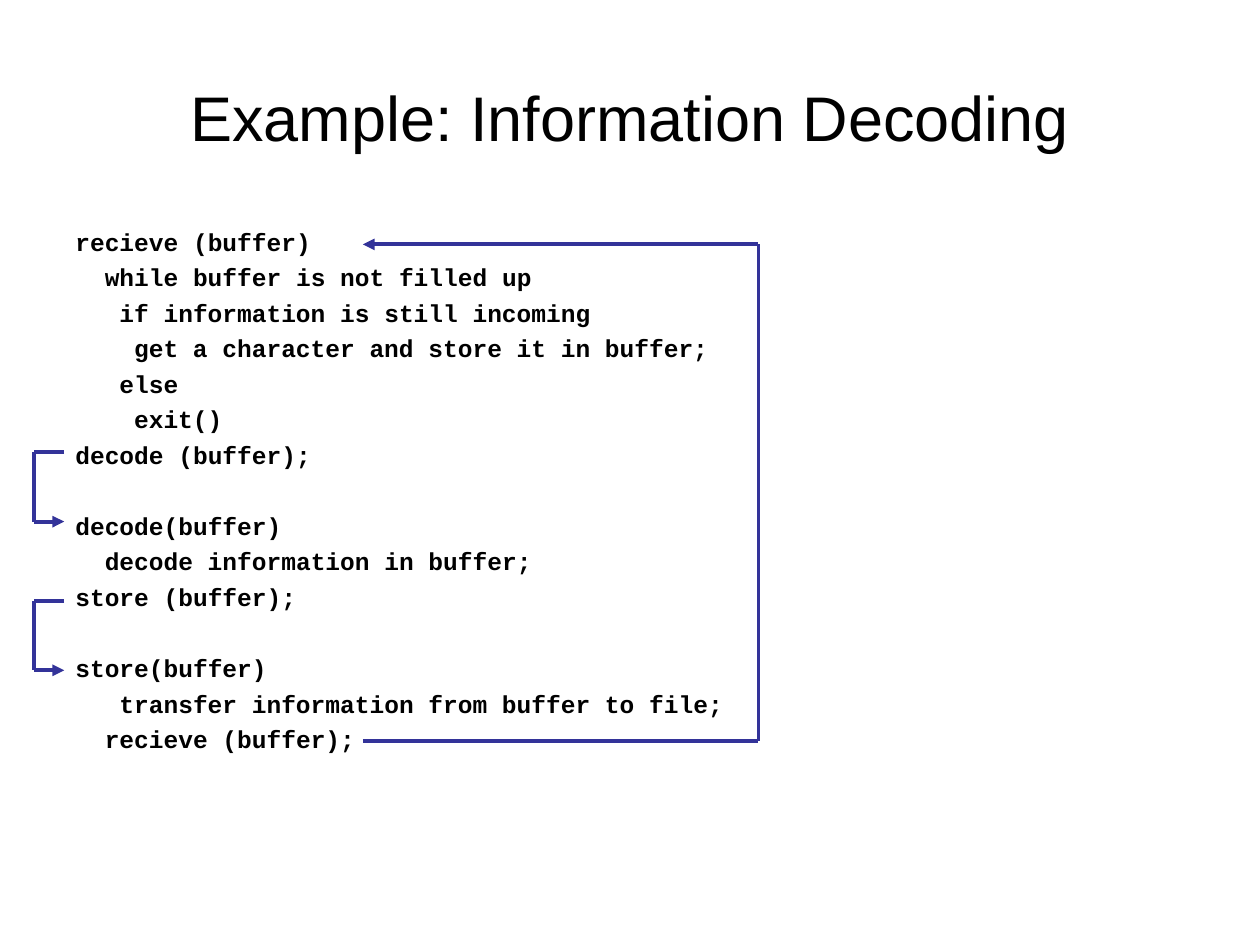
import dataclasses

import pptx
import pptx.enum.shapes
import pptx.enum.text
import pptx.dml.color
import pptx.oxml
import pptx.oxml.ns
import pptx.util
from pptx.util import Inches, Pt

COLORS = {"text": "000000", "arrow": "333399", "page": "FFFFFF"}
CHARACTER_WIDTH = 8.4  # points, one Courier New character at 14 pt
LINE_GAP = 3.5
SECTION_GAP = 23.8


@dataclasses.dataclass
class CodeLine:
    """A line of pseudocode with its indent in characters."""
    text: str
    indent: int = 0
    starts_section: bool = False


@dataclasses.dataclass
class CallArrow:
    """A bracket-shaped arrow from a call to the routine it enters."""
    side: float
    text_edge: float
    start: float
    end: float


CODE = [
    CodeLine("recieve (buffer)"),
    CodeLine("while buffer is not filled up", 2),
    CodeLine("if information is still incoming", 3),
    CodeLine("get a character and store it in buffer;", 4),
    CodeLine("else", 3),
    CodeLine("exit()", 4),
    CodeLine("decode (buffer);"),
    CodeLine("decode(buffer)", starts_section=True),
    CodeLine("decode information in buffer;", 2),
    CodeLine("store (buffer);"),
    CodeLine("store(buffer)", starts_section=True),
    CodeLine("transfer information from buffer to file;", 3),
    CodeLine("recieve (buffer);", 2),
]
ARROWS = [
    CallArrow(0.27, 0.51, 3.59, 4.14),
    CallArrow(0.27, 0.51, 4.77, 5.32),
    CallArrow(6.02, 2.88, 5.88, 1.94),
]


def color(name: str) -> pptx.dml.color.RGBColor:
    """Look up a named colour."""
    return pptx.dml.color.RGBColor.from_string(COLORS[name])


def add_frame(page, left: float, top: float, width: float, height: float):
    """Add a wrapping text box and return its text frame."""
    box = page.shapes.add_textbox(Inches(left), Inches(top), Inches(width), Inches(height))
    box.text_frame.word_wrap = True
    return box.text_frame


def add_span(para, text: str, font: str, size: float, bold: bool = False) -> None:
    """Add one formatted run to a paragraph."""
    span = para.add_run()
    span.text = text
    span.font.name = font
    span.font.size = Pt(size)
    span.font.bold = bold
    span.font.color.rgb = color("text")


def add_title(page, text: str) -> None:
    """Add the centred title."""
    frame = add_frame(page, 0.5, 0.3, 9, 1.25)
    frame.vertical_anchor = pptx.enum.text.MSO_ANCHOR.MIDDLE
    para = frame.paragraphs[0]
    para.alignment = pptx.enum.text.PP_ALIGN.CENTER
    add_span(para, text, "Arial", 36)


def add_code(page, lines: list[CodeLine]) -> None:
    """Add the pseudocode, one paragraph a line."""
    frame = add_frame(page, 0.5, 1.75, 9, 4.95)
    for index, line in enumerate(lines):
        para = frame.add_paragraph() if index else frame.paragraphs[0]
        para.space_before = Pt(SECTION_GAP if line.starts_section else LINE_GAP)
        para._p.get_or_add_pPr().set("marL", str(Pt(line.indent * CHARACTER_WIDTH)))
        add_span(para, line.text, "Courier New", 14, bold=True)


def add_arrow(page, arrow: CallArrow) -> None:
    """Draw the three segments of a call arrow as a group."""
    corners = [(arrow.text_edge, arrow.start), (arrow.side, arrow.start),
               (arrow.side, arrow.end), (arrow.text_edge, arrow.end)]
    group = page.shapes.add_group_shape()
    for begin, end in zip(corners, corners[1:]):
        segment = group.shapes.add_connector(
            pptx.enum.shapes.MSO_CONNECTOR.STRAIGHT,
            *(Inches(value) for value in begin + end))
        segment.line.color.rgb = color("arrow")
        segment.line.width = Pt(2.24)
        segment._element.spPr.append(pptx.oxml.parse_xml(
            f'<a:effectLst {pptx.oxml.ns.nsdecls("a")}/>'))
    segment.line._get_or_add_ln().append(pptx.oxml.parse_xml(
        f'<a:tailEnd {pptx.oxml.ns.nsdecls("a")} type="triangle"/>'))


def main() -> None:
    """Build and save the slide."""
    deck = pptx.Presentation()
    deck.slide_width, deck.slide_height = Inches(10), Inches(7.5)
    page = deck.slides.add_slide(deck.slide_layouts[6])
    page.background.fill.solid()
    page.background.fill.fore_color.rgb = color("page")
    add_title(page, "Example: Information Decoding")
    add_code(page, CODE)
    for arrow in ARROWS:
        add_arrow(page, arrow)
    deck.save("out.pptx")


main()
